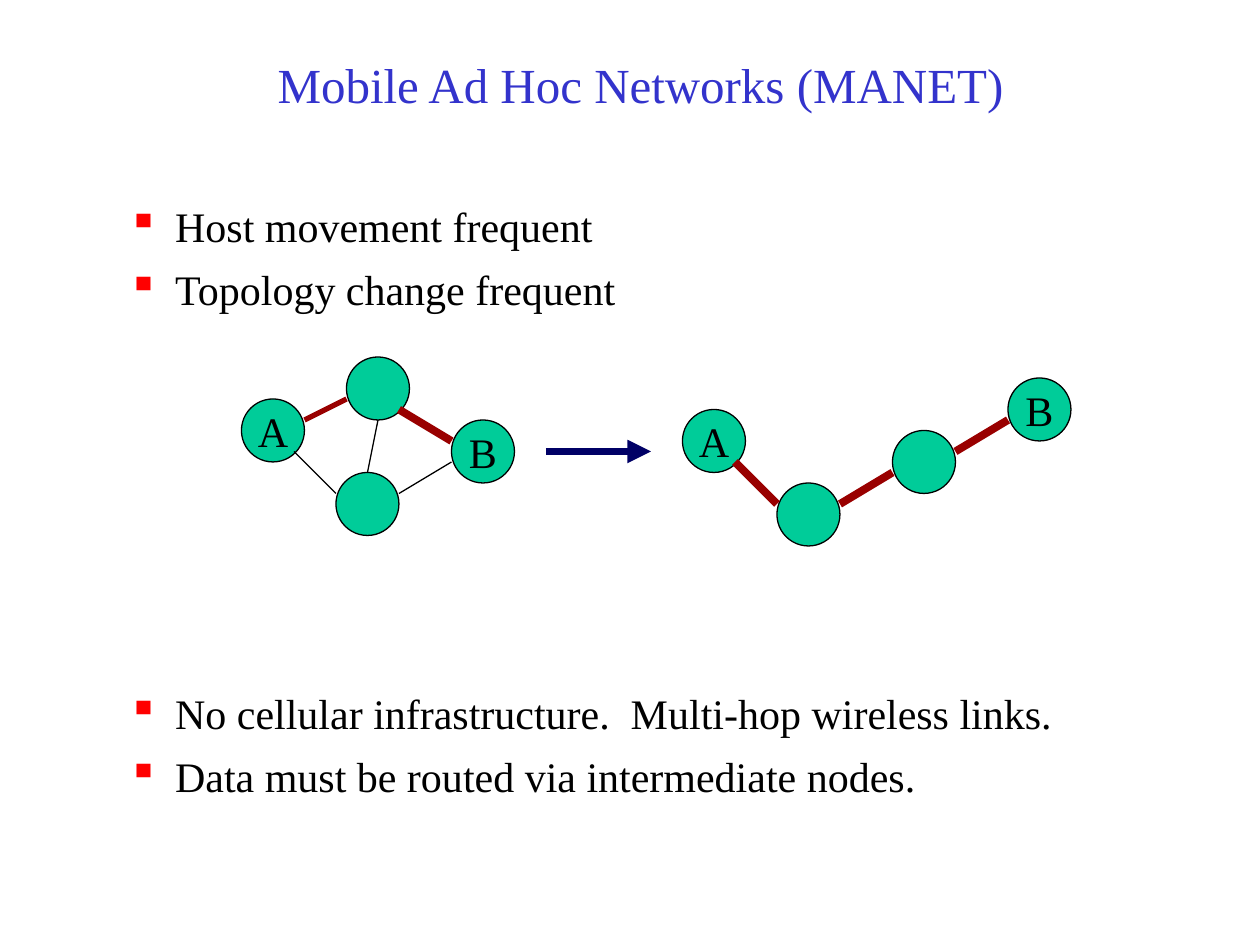
"""Build the slide on mobile ad hoc networks with its before and after topologies."""
from dataclasses import dataclass

from lxml.etree import SubElement
from pptx import Presentation
from pptx.dml.color import RGBColor
from pptx.enum.shapes import MSO_CONNECTOR as Connector, MSO_SHAPE as Shape
from pptx.enum.text import MSO_ANCHOR as Anchor, PP_ALIGN as Align
from pptx.oxml.ns import qn
from pptx.slide import Slide
from pptx.util import Emu, Pt

PX = 7620
FONT = "Times New Roman"
NODE_SIZE = 60
INDENT = 45
COLORS = {
    "title": "3333CC",
    "text": "000000",
    "bullet": "FF0000",
    "node": "00CC99",
    "link": "000000",
    "route": "990000",
    "arrow": "000066",
}


@dataclass(frozen=True)
class Node:
    left: int
    top: int
    label: str = ""


@dataclass(frozen=True)
class Link:
    start: tuple[int, int]
    end: tuple[int, int]
    color: str = "route"
    width: float = 4.5
    arrow: bool = False


@dataclass(frozen=True)
class BulletList:
    top: int
    items: tuple[str, ...]


NODES = (
    Node(230, 380, "A"),
    Node(330, 340),
    Node(320, 450),
    Node(430, 400, "B"),
    Node(650, 390, "A"),
    Node(960, 360, "B"),
    Node(740, 460),
    Node(850, 410),
)
LINKS = (
    Link((290, 400), (330, 380), width=3),
    Link((360, 400), (350, 450), "link", 0.75),
    Link((380, 470), (430, 440), "link", 0.75),
    Link((800, 480), (850, 450)),
    Link((910, 430), (960, 400)),
    Link((280, 430), (320, 470), "link", 0.75),
    Link((700, 440), (740, 480)),
    Link((520, 430), (620, 430), "arrow", arrow=True),
    Link((380, 390), (430, 420)),
)
LISTS = (
    BulletList(185, ("Host movement frequent", "Topology change frequent")),
    BulletList(649, (
        "No cellular infrastructure.  Multi-hop wireless links.",
        "Data must be routed via intermediate nodes.",
    )),
)


def px(value: int) -> Emu:
    """Turn px into EMU."""
    return Emu(value * PX)


def rgb(name: str) -> RGBColor:
    """Look up a named colour."""
    return RGBColor.from_string(COLORS[name])


def style_para(para, size: int, color: str) -> None:
    """Set the font of a whole paragraph."""
    para.font.name = FONT
    para.font.size = Pt(size)
    para.font.color.rgb = rgb(color)


def add_bullet(para) -> None:
    """Give a paragraph a red square bullet with a hanging indent."""
    props = para._p.get_or_add_pPr()
    props.set("marL", str(px(INDENT)))
    props.set("indent", str(-px(INDENT)))
    SubElement(SubElement(props, qn("a:buClr")), qn("a:srgbClr"), val=COLORS["bullet"])
    SubElement(props, qn("a:buChar"), char="▪")


def draw_title(page: Slide, text: str) -> None:
    """Draw the centred title."""
    frame = page.shapes.add_textbox(px(100), px(30), px(1020), px(100)).text_frame
    frame.word_wrap = True
    frame.vertical_anchor = Anchor.MIDDLE
    para = frame.paragraphs[0]
    para.text = text
    para.alignment = Align.CENTER
    style_para(para, 28, "title")


def draw_list(page: Slide, bullets: BulletList) -> None:
    """Draw a bulleted list."""
    height = 60 * len(bullets.items)
    frame = page.shapes.add_textbox(px(110), px(bullets.top), px(1020), px(height)).text_frame
    frame.word_wrap = True
    for index, item in enumerate(bullets.items):
        para = frame.add_paragraph() if index else frame.paragraphs[0]
        para.text = item
        if index:
            para.space_before = Pt(7)
        add_bullet(para)
        style_para(para, 24, "text")


def draw_node(page: Slide, node: Node) -> None:
    """Draw a network host as a circle with an optional label."""
    size = px(NODE_SIZE)
    circle = page.shapes.add_shape(Shape.OVAL, px(node.left), px(node.top), size, size)
    circle.shadow.inherit = False
    circle.fill.solid()
    circle.fill.fore_color.rgb = rgb("node")
    circle.line.color.rgb = rgb("link")
    circle.line.width = Pt(0.75)
    if node.label:
        frame = circle.text_frame
        frame.word_wrap = False
        frame.vertical_anchor = Anchor.MIDDLE
        para = frame.paragraphs[0]
        para.text = node.label
        para.alignment = Align.CENTER
        style_para(para, 24, "text")


def draw_link(page: Slide, link: Link) -> None:
    """Draw a straight link, with an arrowhead where asked."""
    ends = [px(value) for value in link.start + link.end]
    line = page.shapes.add_connector(Connector.STRAIGHT, *ends)
    line.line.color.rgb = rgb(link.color)
    line.line.width = Pt(link.width)
    if link.arrow:
        SubElement(line.line._get_or_add_ln(), qn("a:tailEnd"), type="triangle")
    SubElement(line._element.spPr, qn("a:effectLst"))


def main() -> None:
    """Build and save the deck."""
    deck = Presentation()
    deck.slide_width, deck.slide_height = px(1200), px(900)
    page = deck.slides.add_slide(deck.slide_layouts[6])
    draw_title(page, "Mobile Ad Hoc Networks (MANET)")
    for bullets in LISTS:
        draw_list(page, bullets)
    for node in NODES:
        draw_node(page, node)
    for link in LINKS:
        draw_link(page, link)
    deck.save("out.pptx")


if __name__ == "__main__":
    main()
